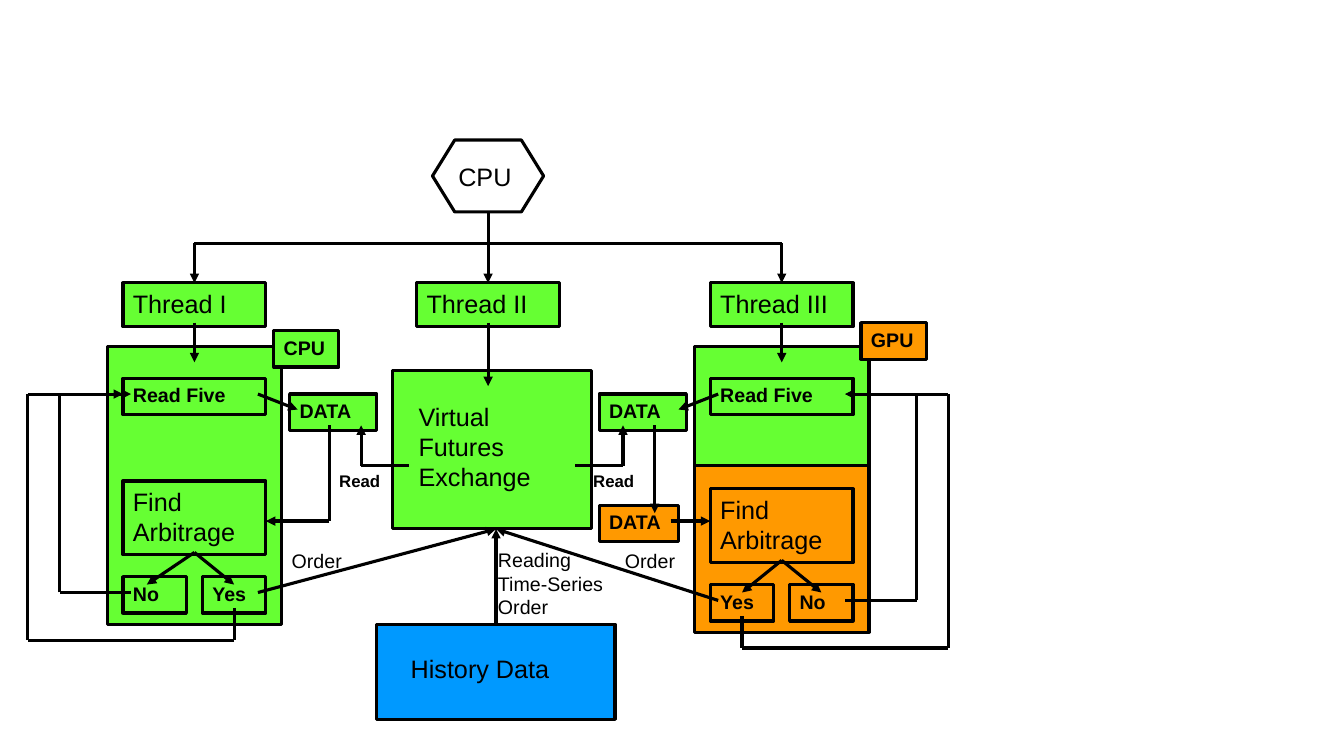
"""Build a flow chart of three CPU threads trading on a virtual futures exchange."""
from itertools import pairwise
from pptx import Presentation
from pptx.dml.color import RGBColor
from pptx.enum.shapes import MSO_CONNECTOR, MSO_SHAPE
from pptx.enum.text import MSO_ANCHOR, PP_ALIGN
from pptx.oxml.ns import qn
from pptx.util import Cm, Pt
from lxml.etree import SubElement

COLORS = {"ink": "000000", "green": "66FF33", "orange": "FF9900", "blue": "0099FF"}
FORMATS = {
    "title": {"name": "Arial", "size": Pt(18), "bold": False},
    "tag": {"name": "Arial", "size": Pt(14), "bold": True},
    "note": {"name": "Arial", "size": Pt(14), "bold": False},
    "small": {"name": "Arial", "size": Pt(12), "bold": True},
}
INK = RGBColor.from_string(COLORS["ink"])
LINE_WIDTH = Pt(2.25)

deck = Presentation()
deck.slide_width, deck.slide_height = Cm(33.87), Cm(19.05)
page = deck.slides.add_slide(deck.slide_layouts[6])


def add_box(left, top, width, height, text="", style="tag", fill=None, outline=True,
            preset=MSO_SHAPE.RECTANGLE):
    frame = [Cm(value) for value in (left, top, width, height)]
    if fill or outline:
        box = page.shapes.add_shape(preset, *frame)
        box.shadow.inherit = False
    else:
        box = page.shapes.add_textbox(*frame)
    if fill:
        box.fill.solid()
        box.fill.fore_color.rgb = RGBColor.from_string(COLORS[fill])
    else:
        box.fill.background()
    if outline:
        box.line.color.rgb = INK
        box.line.width = LINE_WIDTH
    else:
        box.line.fill.background()
    if text:
        box.text_frame.word_wrap = True
        box.text_frame.vertical_anchor = MSO_ANCHOR.TOP
        para = box.text_frame.paragraphs[0]
        para.alignment = PP_ALIGN.LEFT
        span = para.add_run()
        span.text = text
        span.font.color.rgb = INK
        for key, value in FORMATS[style].items():
            setattr(span.font, key, value)


def add_route(*points, arrow=True):
    for start, end in pairwise(points):
        ends = [Cm(value) for value in (*start, *end)]
        segment = page.shapes.add_connector(MSO_CONNECTOR.STRAIGHT, *ends)
        segment.line.color.rgb = INK
        segment.line.width = LINE_WIDTH
        if arrow and end == points[-1]:
            SubElement(segment.line._get_or_add_ln(), qn("a:tailEnd"), type="triangle")
        SubElement(segment._element.spPr, qn("a:effectLst"))


LEFT, MIDDLE, RIGHT = 4.9, 12.3, 19.7
EXCHANGE = 12.4
BRANCH_Y, READ_Y, FEED_Y, FIND_Y = 6.13, 9.93, 11.73, 13.13
ORDER_END = (12.5, 13.33)

add_box(10.9, 3.53, 2.8, 1.81, outline=True, preset=MSO_SHAPE.FLOWCHART_PREPARATION)
add_box(11.3, 3.93, 2, 1.02, "CPU", "title", outline=False)
add_box(LEFT - 2.2, 8.74, 4.4, 7, fill="green")
add_box(RIGHT - 2.2, 8.74, 4.4, 3, fill="green")
add_box(RIGHT - 2.2, FEED_Y, 4.4, 4.2, fill="orange")
add_box(9.9, 9.33, 5, 4, fill="green")
add_box(10.3, 9.98, 4, 2.54, "Virtual Futures Exchange", "title", outline=False)
add_box(9.5, 15.73, 6, 2.4, fill="blue")
add_box(10.1, 16.33, 4.8, 1.02, "History Data", "title", fill="blue", outline=False)
add_box(6.9, 8.33, 1.64, 0.92, "CPU", fill="green")
add_box(21.7, 8.13, 1.66, 0.92, "GPU", fill="orange")
add_box(15.1, 12.73, 2, 0.92, "DATA", fill="orange")

add_route((MIDDLE, 5.33), (MIDDLE, BRANCH_Y), arrow=False)
for center, numeral, work_y in ((LEFT, "I", 9.13), (MIDDLE, "II", 9.73), (RIGHT, "III", 9.13)):
    add_box(center - 1.8, 7.13, 3.6, 1.1, f"Thread {numeral}", "title", fill="green")
    add_route((center, 8.13), (center, work_y))
    add_route((center, BRANCH_Y), (center, 7.13))
    if center != MIDDLE:
        add_route((MIDDLE, BRANCH_Y), (center, BRANCH_Y), arrow=False)

for center, side, drop, nudge in ((LEFT, -1, 0, 0.2), (RIGHT, 1, 0.2, 0)):
    no_x, yes_x = center + side, center - side
    outer_x, inner_x = center + side * 1.6, center - side * 1.6
    loop_x, far_x = center + side * 3.4, center + side * 4.2
    data_x, feed_x = center - side * 3.5, EXCHANGE + side * 3.3
    choice_y, fork_y, return_y = 14.93 + drop, 13.92 + drop, 16.13 + drop

    add_box(center - 1.8, 9.53, 3.6, 0.92, "Read Five")
    add_box(center - 1.8, 12.12 + drop, 3.6, 1.86, "Find Arbitrage", "title")
    add_box(data_x - 1.1, READ_Y, 2.2, 0.92, "DATA", fill="green")
    for answer, answer_x in (("No", no_x), ("Yes", yes_x)):
        add_box(answer_x - 0.8, 14.53 + drop, 1.6, 0.92, answer)

    add_route((inner_x, READ_Y), (center - side * 2.6, 10.32))
    add_route((EXCHANGE + side * 2.1, FEED_Y), (feed_x, FEED_Y), (feed_x, 10.72))
    add_route((center, fork_y), (no_x + side * nudge, 14.73 + drop))
    add_route((center, fork_y), (yes_x, 14.73 + drop))
    add_route((inner_x, choice_y), ORDER_END)
    add_route((yes_x, 15.32 + drop), (yes_x, return_y), (far_x, return_y),
              (far_x, READ_Y), (outer_x, READ_Y))
    add_route((outer_x, choice_y), (loop_x, choice_y), (loop_x, READ_Y),
              (outer_x + side * nudge, READ_Y))

add_route((8.3, 10.72), (8.3, FIND_Y), (6.7, FIND_Y))
add_route((16.5, 10.72), (16.5, 12.93))
add_route((16.9, FIND_Y), (17.9, FIND_Y))
add_route((12.5, 15.73), ORDER_END)

add_box(12.3, 13.69, 3.6, 2.03, "Reading Time-Series Order", "note", outline=False)
for order_x, read_x in ((7.1, 8.3), (15.5, 14.7)):
    add_box(order_x, 13.7, 1.8, 0.84, "Order", "note", outline=False)
    add_box(read_x, FEED_Y, 1.8, 0.76, "Read", "small", outline=False)

deck.save("out.pptx")
